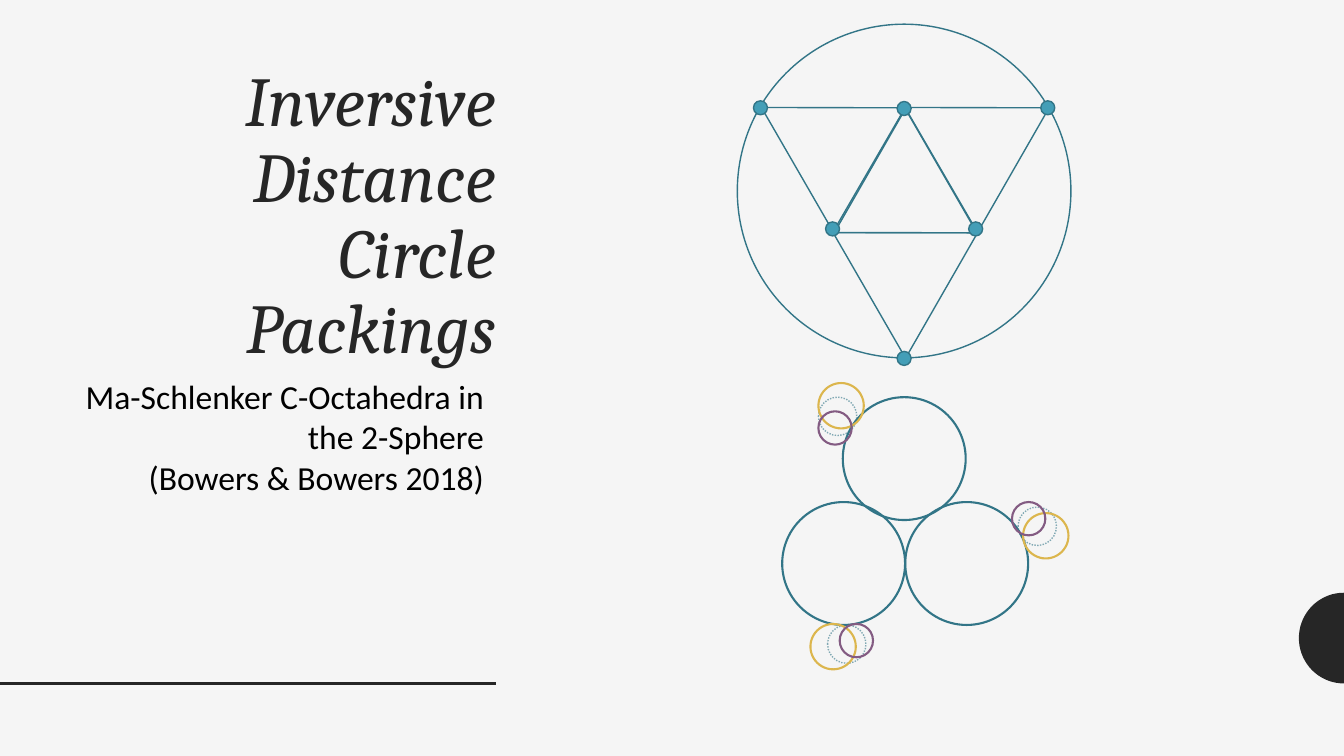
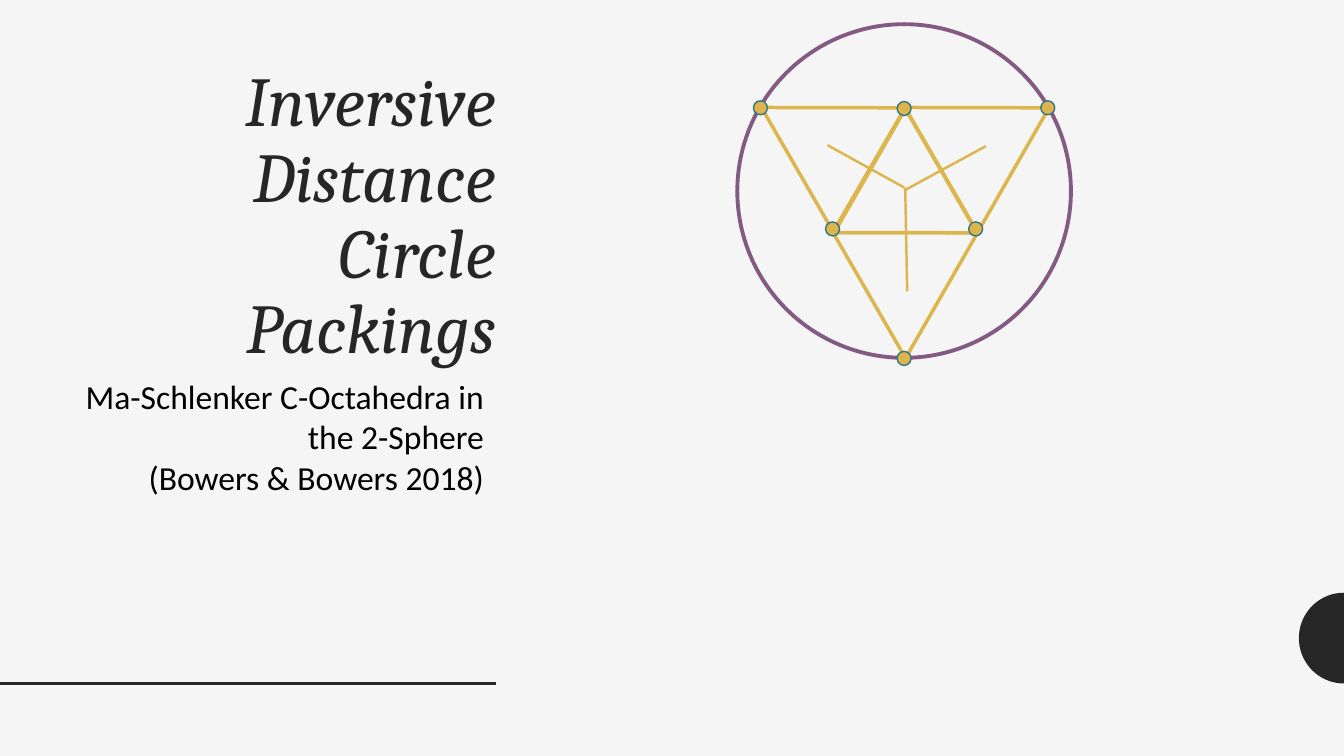
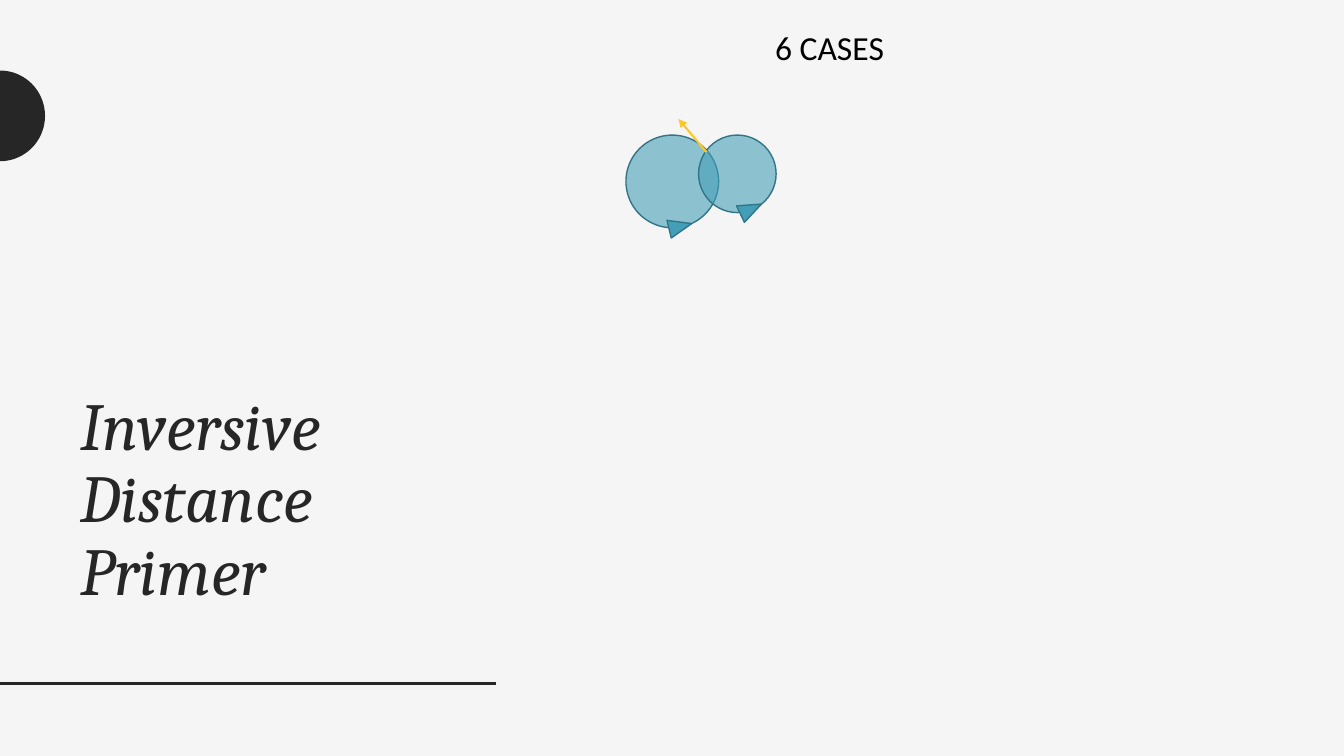
from math import cos, radians, sin

from lxml import etree
from pptx import Presentation
from pptx.dml.color import RGBColor
from pptx.enum.dml import MSO_LINE
from pptx.enum.shapes import MSO_CONNECTOR, MSO_SHAPE
from pptx.enum.text import MSO_ANCHOR, MSO_AUTO_SIZE, PP_ALIGN
from pptx.oxml.ns import qn
from pptx.util import Pt

ELLIPSE, TRIANGLE = MSO_SHAPE.OVAL, MSO_SHAPE.ISOSCELES_TRIANGLE
STRAIGHT, DOTTED = MSO_CONNECTOR.STRAIGHT, MSO_LINE.ROUND_DOT
LEFT, RIGHT = PP_ALIGN.LEFT, PP_ALIGN.RIGHT
TOP, BOTTOM = MSO_ANCHOR.TOP, MSO_ANCHOR.BOTTOM

PAPER, INK, BLACK = "F5F5F5", "262626", "000000"
TEAL, DARK_TEAL = "439EB7", "327587"
GOLD, PURPLE, AMBER = "DCB64D", "835B82", "FFC62A"
WIDTH, HEIGHT = 960, 540
rgb = RGBColor.from_string


def style(sp, fill=None, line=None, width=1, alpha=None):
    """Set fill and line; alpha (percent) applies to the fill, or to the line if unfilled."""
    sp.shadow.inherit = False
    for paint, color in ((sp.fill, fill), (sp.line.fill, line)):
        if color:
            paint.solid()
            paint.fore_color.rgb = rgb(color)
        else:
            paint.background()
    if line:
        sp.line.width = Pt(width)
    if alpha:
        color = next(sp._element.spPr.iter(qn("a:srgbClr")))
        etree.SubElement(color, qn("a:alpha")).set("val", str(alpha * 1000))


def write(tf, lines, font, size, color, align, italic=False, spacing=None):
    tf.word_wrap = True
    for i, text in enumerate(lines):
        p = tf.paragraphs[0] if i == 0 else tf.add_paragraph()
        p.alignment = align
        p.line_spacing = spacing
        r = p.add_run()
        r.text = text
        r.font.name, r.font.size, r.font.italic = font, Pt(size), italic
        r.font.color.rgb = rgb(color)


prs = Presentation()
prs.slide_width, prs.slide_height = Pt(WIDTH), Pt(HEIGHT)
background = prs.slide_master.background.fill
background.solid()
background.fore_color.rgb = rgb(PAPER)

# Shared frame: half disc, title, text box
packing = ("Inversive Distance Circle Packings", 50, RIGHT, TOP, (59.8, 43.9, 301.7, 390.2),
           ["Ma-Schlenker C-Octahedra in the 2-Sphere", "(Bowers & Bowers 2018)"],
           (24.5, 265, 328.3, 94.3), (WIDTH, 455.8, -1))
primer = ("Inversive Distance Primer", 48, LEFT, BOTTOM, (50.4, 50.4, 309.6, 388.8),
          ["6 CASES"], (546.5, 15.8, 157, 36), (0, 82.8, 1))
lines = []
for title, size, align, anchor, title_box, notes, notes_box, disc in (packing, packing, primer):
    s = prs.slides.add_slide(prs.slide_layouts[5])
    x, y, side = disc
    arc = [(Pt(x + side * 32.2 * cos(radians(a))), Pt(y + 32.4 * sin(radians(a))))
           for a in range(-90, 91, 5)]
    outline = s.shapes.build_freeform(*arc[0], scale=1.0)
    outline.add_line_segments(arc[1:], close=True)
    style(outline.convert_to_shape(), INK)

    sp = s.shapes.title
    sp.left, sp.top, sp.width, sp.height = map(Pt, title_box)
    sp.text_frame.auto_size = MSO_AUTO_SIZE.NONE
    sp.text_frame.vertical_anchor = anchor
    write(sp.text_frame, [title], "Cambria", size, INK, align, True, 0.9)

    sp = s.shapes.add_textbox(*map(Pt, notes_box))
    write(sp.text_frame, notes, "Calibri", 24, BLACK, align)
    lines.append((s, 0, 488.2, 354.2, 488.2, INK, 2, False))

circles, octahedron, cases = prs.slides

# Octahedron graph
axis = 645.8
for s, ring, ring_width, edge, edge_width, node in (
        (circles, DARK_TEAL, 1, DARK_TEAL, 1, TEAL),
        (octahedron, PURPLE, 2.75, GOLD, 2.5, GOLD)):
    sp = s.shapes.add_shape(ELLIPSE, *map(Pt, (axis - 119.15, 17.3, 238.3, 238.3)))
    style(sp, None, ring, ring_width)
    for x, y, angle in ((594.7, 77, 0), (658.8, 54.7, 60), (607.7, 144, 60), (556.6, 54.7, 60)):
        sp = s.shapes.add_shape(TRIANGLE, *map(Pt, (x, y, 103.7, 89.3)))
        sp.rotation = angle
        style(sp, None, edge, edge_width)
    for dx, y in ((-102.6, 77), (0, 77.5), (102.6, 77), (-51.1, 163.5), (51.1, 163.5), (0, 256)):
        sp = s.shapes.add_shape(ELLIPSE, *map(Pt, (axis + dx - 5, y - 5, 10, 10)))
        style(sp, node, DARK_TEAL)

# Circle packing: three tangent circles, each with a small cluster
for size, color, width, dotted, corners in (
        (87.8, DARK_TEAL, 1.5, False, ((602, 283.7), (646.6, 358.6), (558.7, 358.6))),
        (27.4, DARK_TEAL, 1, True, ((727.2, 362.2), (584.6, 283.7), (591.1, 446.4))),
        (32.4, GOLD, 1.5, False, ((730.8, 366.5), (584.6, 273.6), (578.9, 445.7))),
        (23.8, PURPLE, 1.5, False, ((722.9, 358.6), (584.6, 293.8), (599.8, 445.7)))):
    for x, y in corners:
        sp = circles.shapes.add_shape(ELLIPSE, *map(Pt, (x, y, size, size)))
        style(sp, None, color, width, 60 if dotted else None)
        if dotted:
            sp.line.dash_style = DOTTED

# Overlapping discs with direction markers
for x, y, size in ((447.1, 96.5, 66.2), (499, 96.5, 55.4)):
    sp = cases.shapes.add_shape(ELLIPSE, *map(Pt, (x, y, size, size)))
    style(sp, TEAL, DARK_TEAL, alpha=59)
for x, y, angle in ((479.5, 153.4, 76.2), (529.9, 141.1, 64.5)):
    sp = cases.shapes.add_shape(TRIANGLE, *map(Pt, (x, y, 13, 16.6)))
    sp.rotation = angle
    style(sp, TEAL, DARK_TEAL)

# Rules, spokes and arrow
lines += [
    (octahedron, 591.1, 103.7, 645.8, 133.9, GOLD, 1.75, False),
    (octahedron, 646.6, 133.9, 648, 208.1, GOLD, 1.75, False),
    (octahedron, 645.8, 136.1, 704.2, 104.4, GOLD, 1.75, False),
    (cases, 504.7, 108.7, 484.6, 85, AMBER, 1.5, True),
]
for s, x1, y1, x2, y2, color, width, arrow in lines:
    c = s.shapes.add_connector(STRAIGHT, *map(Pt, (x1, y1, x2, y2)))
    c.line.color.rgb = rgb(color)
    c.line.width = Pt(width)
    if arrow:
        etree.SubElement(c.line._get_or_add_ln(), qn("a:tailEnd")).set("type", "triangle")
    etree.SubElement(c._element.spPr, qn("a:effectLst"))

prs.save("out.pptx")
